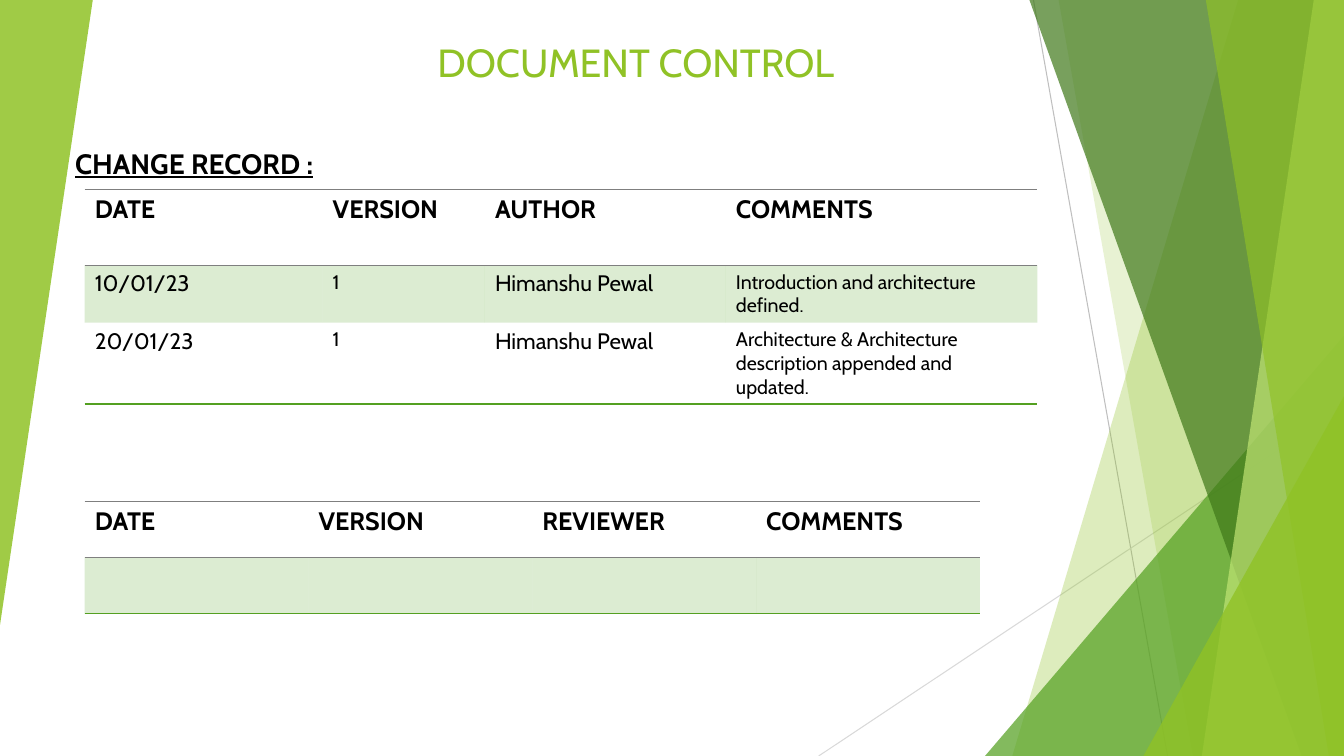
"""Build the document control slide with its change and review tables."""
from lxml import etree
from pptx import Presentation
from pptx.dml.color import RGBColor
from pptx.enum.shapes import MSO_CONNECTOR, MSO_SHAPE
from pptx.enum.text import MSO_ANCHOR, PP_ALIGN
from pptx.oxml import parse_xml
from pptx.oxml.ns import nsdecls, qn
from pptx.util import Inches, Pt

W, H = 13.33, 7.5
FONT = "Cabin"
LIME, GREEN, DARK, PALE = "90C226", "54A021", "3F7819", "C0E474"
BLACK, GRAY = "000000", "7F7F7F"
NO_STYLE = "{2D5ABB26-0587-4C30-8999-92F81FD0307C}"

RAYS = [((10.25, 0), (11.58, H), "BFBFBF"), ((W, 4.03), (8.12, H), "D9D9D9")]
FACETS = [
    ("band", 12.28, 10.04, LIME, 30),
    ("band", 10.5, 11.83, LIME, 20),
    ("triangle", (9.77, 3.33, 3.56, 4.17), 0, GREEN, 72),
    ("band", 10.21, 12.91, DARK, 70),
    ("band", 13.03, 11.92, PALE, 70),
    ("band", 11.96, 13.18, LIME, 65),
    ("triangle", (11.34, 3.93, 1.99, 3.57), 0, LIME, 80),
    ("triangle", (0, 0, 0.92, 6.2), 180, LIME, 85),
]
TITLES = [
    ("DOCUMENT CONTROL", (3.43, 0.25, 4.94, 0.65), 28, LIME, False,
     PP_ALIGN.RIGHT, MSO_ANCHOR.BOTTOM),
    ("CHANGE RECORD :", (-0.16, 1.4, 4.17, 0.45), 20, BLACK, True,
     PP_ALIGN.CENTER, MSO_ANCHOR.TOP),
]
CHANGES = [
    ("DATE", "VERSION", "AUTHOR", "COMMENTS"),
    ("10/01/23", "1", "Himanshu Pewal", "Introduction and architecture defined."),
    ("20/01/23", "1", "Himanshu Pewal",
     "Architecture & Architecture description appended and updated."),
]
REVIEWS = [("DATE", "VERSION", "REVIEWER", "COMMENTS"), ("",) * 4]
TABLES = [
    (CHANGES, 1.88, (2.36, 1.61, 2.39, 3.09), (0.75, 0.57, 0.81), 1.5),
    (REVIEWS, 4.97, (2.22,) * 4, (0.56, 0.56), 1),
]
TABLE_LEFT = 0.84
BODY_SIZES = (16, 14, 16, 14)


def rgb(color):
    return RGBColor.from_string(color)


def fill(obj, color, alpha):
    obj.fill.solid()
    obj.fill.fore_color.rgb = rgb(color)
    clr = obj.fill._xPr.find(qn("a:solidFill"))[0]
    etree.SubElement(clr, qn("a:alpha")).set("val", str(alpha * 1000))


def style(p, size, color, bold):
    for r in p.runs:
        r.font.name, r.font.size, r.font.bold = FONT, Pt(size), bold
        r.font.color.rgb = rgb(color)


def add_ray(start, end, color):
    line = slide.shapes.add_connector(
        MSO_CONNECTOR.STRAIGHT, *map(Inches, start + end))
    line.line.color.rgb = rgb(color)
    line.line.width = Pt(0.75)
    etree.SubElement(line._element.spPr, qn("a:effectLst"))


def add_facet(kind, place, turn, color, alpha):
    if kind == "band":
        corners = [(W, 0), (W, H), (turn, H)]
        fb = slide.shapes.build_freeform(Inches(place), 0)
        fb.add_line_segments([(Inches(x), Inches(y)) for x, y in corners])
        sp = fb.convert_to_shape()
    else:
        sp = slide.shapes.add_shape(
            MSO_SHAPE.ISOSCELES_TRIANGLE, *map(Inches, place))
        sp.adjustments[0] = 1
        sp.rotation = turn
    sp.shadow.inherit = False
    sp.line.fill.background()
    fill(sp, color, alpha)


def add_title(text, box, size, color, strong, align, anchor):
    tf = slide.shapes.add_textbox(*map(Inches, box)).text_frame
    tf.word_wrap = True
    tf.vertical_anchor = anchor
    tf.text = text
    p = tf.paragraphs[0]
    p.alignment = align
    style(p, size, color, strong)
    p.runs[0].font.underline = strong


def add_border(cell, side, color, width, index):
    cell._tc.get_or_add_tcPr().insert(index, parse_xml(
        f'<a:{side} {nsdecls("a")} w="{Pt(width)}"><a:solidFill>'
        f'<a:srgbClr val="{color}"/></a:solidFill></a:{side}>'))


def add_records(rows, top, widths, heights, end_width):
    box = (TABLE_LEFT, top, sum(widths), sum(heights))
    table = slide.shapes.add_table(
        len(rows), len(widths), *map(Inches, box)).table
    table._tbl.tblPr.find(qn("a:tableStyleId")).text = NO_STYLE
    for col, width in zip(table.columns, widths):
        col.width = Inches(width)
    for i, (row, height) in enumerate(zip(rows, heights)):
        table.rows[i].height = Inches(height)
        for j, text in enumerate(row):
            cell = table.cell(i, j)
            cell.text = text
            style(cell.text_frame.paragraphs[0],
                  BODY_SIZES[j] if i else 18, BLACK, i == 0)
            if i == 1:
                fill(cell, GREEN, 20)
            else:
                cell.fill.background()
            if i == 0:
                add_border(cell, "lnT", GRAY, 0.75, 0)
                add_border(cell, "lnB", GRAY, 0.75, 1)
            elif i == len(rows) - 1:
                add_border(cell, "lnB", GREEN, end_width, 0)


prs = Presentation()
prs.slide_width, prs.slide_height = Inches(W), Inches(H)
slide = prs.slides.add_slide(prs.slide_layouts[6])
for draw, items in ((add_ray, RAYS), (add_facet, FACETS),
                    (add_title, TITLES), (add_records, TABLES)):
    for item in items:
        draw(*item)
prs.save("out.pptx")
